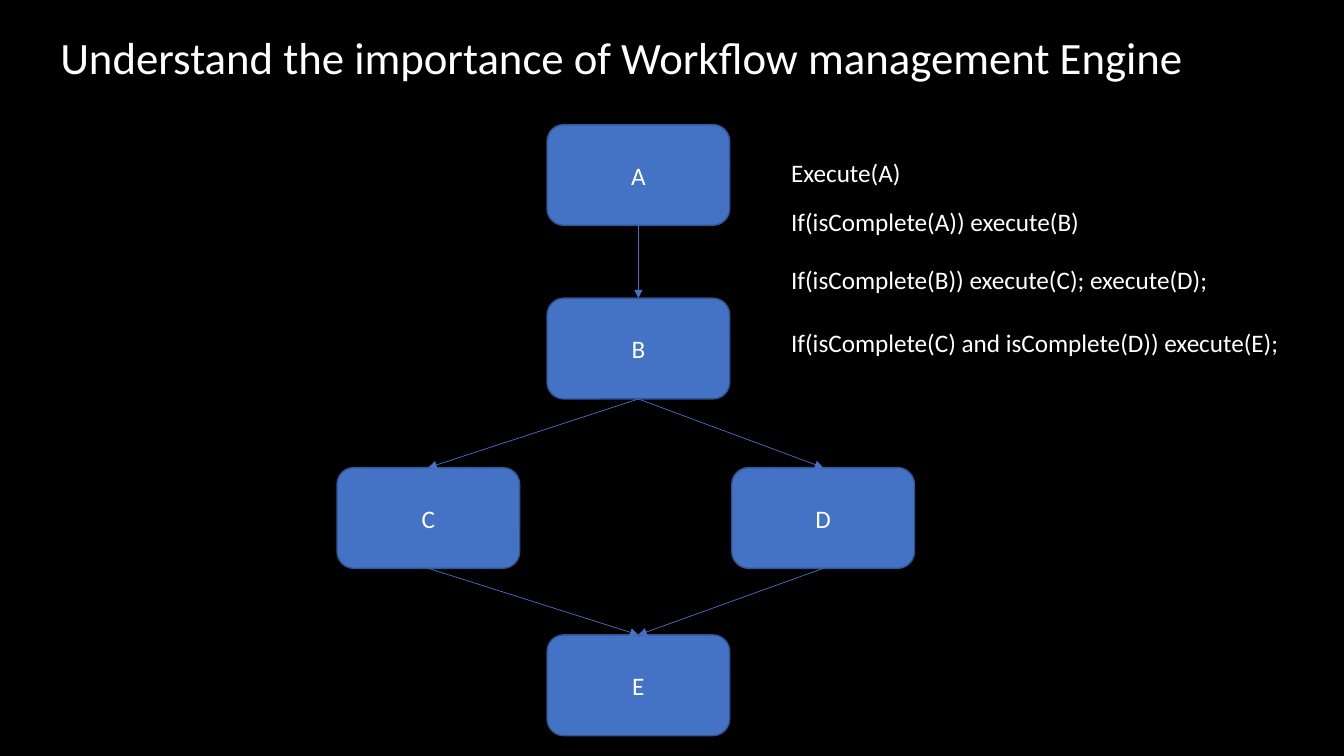
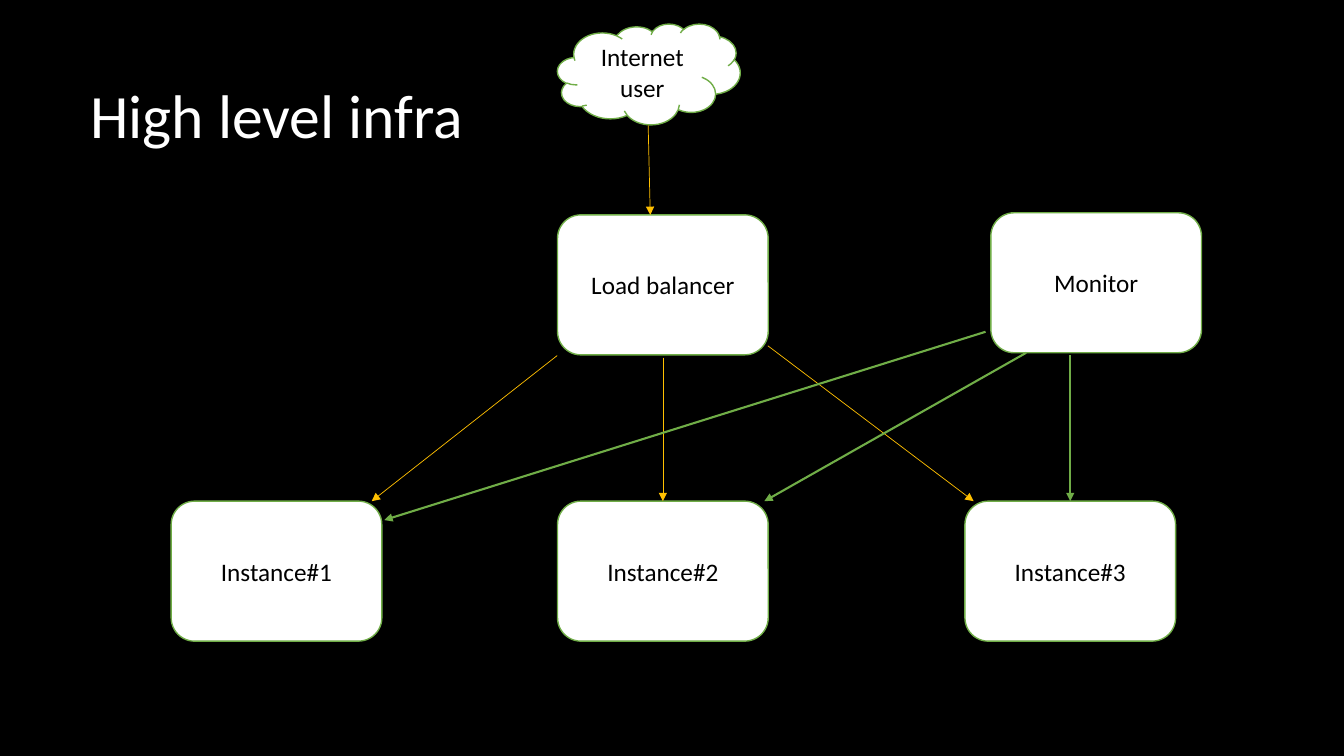
from lxml import etree
from pptx import Presentation
from pptx.dml.color import RGBColor
from pptx.enum.shapes import MSO_CONNECTOR, MSO_SHAPE
from pptx.enum.text import MSO_ANCHOR, MSO_AUTO_SIZE, PP_ALIGN
from pptx.oxml.ns import qn
from pptx.util import Pt

ROUND, CLOUD = MSO_SHAPE.ROUNDED_RECTANGLE, MSO_SHAPE.CLOUD
STRAIGHT = MSO_CONNECTOR.STRAIGHT
CENTER, MIDDLE = PP_ALIGN.CENTER, MSO_ANCHOR.MIDDLE
FIT = MSO_AUTO_SIZE.SHAPE_TO_FIT_TEXT
TOP, BOTTOM = 0, 2

BLACK = RGBColor(0x00, 0x00, 0x00)
WHITE = RGBColor(0xFF, 0xFF, 0xFF)
BLUE = RGBColor(0x44, 0x72, 0xC4)
NAVY = RGBColor(0x32, 0x54, 0x91)
GREEN = RGBColor(0x70, 0xAD, 0x47)
GOLD = RGBColor(0xFF, 0xC0, 0x00)
FONT = "Calibri"
BODY = 18

# Workflow: box name -> centre x, top
TASK = (130.5, 72)
TASKS = {"A": (456, 89), "B": (456, 213), "C": (306, 334),
         "D": (588, 334), "E": (456, 453.5)}
FLOW = ["AB", "BC", "BD", "CE", "DE"]
# Text, top, width
STEPS = [
    ("Execute(A)", 108.5, 93.5),
    ("If(isComplete(A)) execute(B)", 143.5, 222.5),
    ("If(isComplete(B)) execute(C); execute(D);", 185, 319.5),
    ("If(isComplete(C) and isComplete(D)) execute(E);", 230, 367),
]
STEP_X = 558

# Infrastructure: box name -> centre x, top
NODE = (150.5, 100)
NODES = {"Instance#1": (197.5, 358), "Instance#2": (473.5, 358),
         "Instance#3": (764.5, 358), "Load balancer": (473.5, 153.5),
         "Monitor": (783, 152)}
USER = ("Internet user", 463.5, 17)
# Start, end (a point, or the box whose top is met)
TRAFFIC = [((463, 89.5), (464.5, 153.5)), ((398, 254), (265.5, 358)),
           ((473.5, 255.5), "Instance#2"), ((548.5, 247), (695.5, 358))]
CHECKS = [((704, 237), (274.5, 371.5)), ((733, 252), (546, 358)),
          ((764.5, 253.5), "Instance#3")]


def style(frame, text, size, color):
    frame.text = text
    para = frame.paragraphs[0]
    font = para.runs[0].font
    font.name, font.size, font.color.rgb = FONT, Pt(size), color
    return para


def add_box(slide, text, mid, top, size, fill, edge, ink, kind=ROUND):
    wide, high = size
    box = slide.shapes.add_shape(kind, Pt(mid - wide / 2), Pt(top), Pt(wide), Pt(high))
    box.shadow.inherit = False
    box.fill.solid()
    box.fill.fore_color.rgb = fill
    box.line.color.rgb = edge
    box.line.width = Pt(1)
    box.text_frame.word_wrap = True
    box.text_frame.vertical_anchor = MIDDLE
    style(box.text_frame, text, BODY, ink).alignment = CENTER
    return box


def add_text(slide, text, left, top, wide, high, size):
    box = slide.shapes.add_textbox(Pt(left), Pt(top), Pt(wide), Pt(high))
    box.text_frame.word_wrap = False
    box.text_frame.auto_size = FIT
    style(box.text_frame, text, size, WHITE)
    return box


def add_arrow(slide, start, end, color, width):
    """Each end is a point, or a (box, side) pair to join."""
    line = slide.shapes.add_connector(STRAIGHT, 0, 0, 0, 0)
    if isinstance(start[0], (int, float)):
        line.begin_x, line.begin_y = map(Pt, start)
    else:
        line.begin_connect(*start)
    if isinstance(end[0], (int, float)):
        line.end_x, line.end_y = map(Pt, end)
    else:
        line.end_connect(*end)
    line.line.color.rgb = color
    line.line.width = Pt(width)
    etree.SubElement(line.line._get_or_add_ln(), qn("a:tailEnd"), type="triangle")
    etree.SubElement(line._element.spPr, qn("a:effectLst"))


def add_flow(slide):
    boxes = {name: add_box(slide, name, *spot, TASK, BLUE, NAVY, WHITE)
             for name, spot in TASKS.items()}
    for start, end in FLOW:
        add_arrow(slide, (boxes[start], BOTTOM), (boxes[end], TOP), BLUE, 0.5)
    for text, top, wide in STEPS:
        add_text(slide, text, STEP_X, top, wide, 29, BODY)
    add_text(slide, "Understand the importance of Workflow management Engine",
             36, 18, 825, 46, 32)


def add_infra(slide):
    title = add_text(slide, "High level infra", 57.5, 32.5, 307.5, 104.5, 44)
    title.text_frame.auto_size = MSO_AUTO_SIZE.NONE
    title.text_frame.word_wrap = True
    title.text_frame.vertical_anchor = MIDDLE
    title.text_frame.paragraphs[0].line_spacing = 0.9
    look = (WHITE, GREEN, BLACK)
    boxes = {name: add_box(slide, name, *spot, NODE, *look)
             for name, spot in NODES.items()}
    add_box(slide, *USER, TASK, *look, CLOUD)
    for arrows, color, width in ((TRAFFIC, GOLD, 0.5), (CHECKS, GREEN, 1.5)):
        for start, end in arrows:
            goal = (boxes[end], TOP) if end in boxes else end
            add_arrow(slide, start, goal, color, width)


def main():
    prs = Presentation()
    prs.slide_width, prs.slide_height = Pt(960), Pt(540)
    back = prs.slide_master.background.fill
    back.solid()
    back.fore_color.rgb = BLACK
    for fill_in in (add_flow, add_infra):
        fill_in(prs.slides.add_slide(prs.slide_layouts[6]))
    prs.save("out.pptx")


if __name__ == "__main__":
    main()
